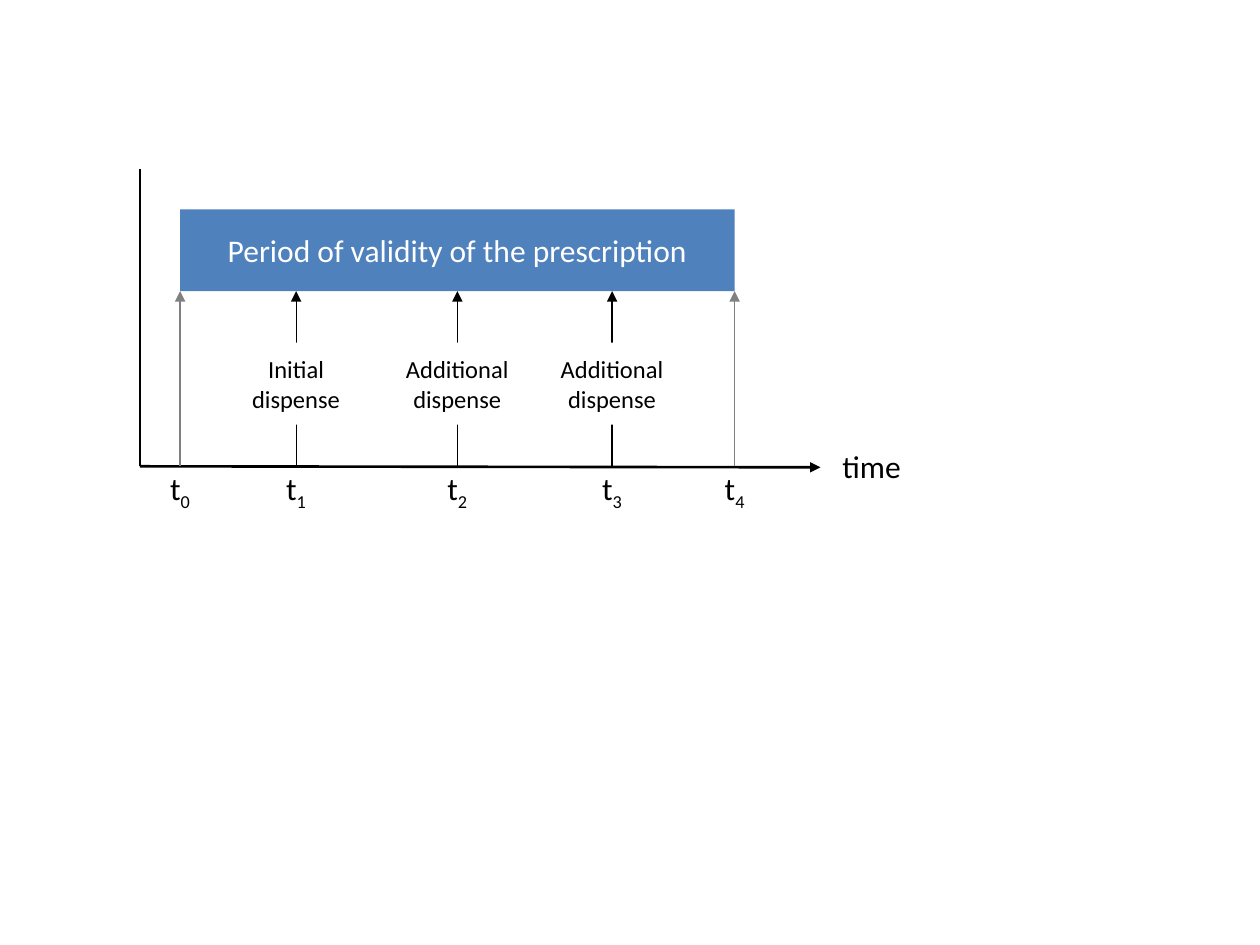
from lxml.etree import SubElement
from pptx import Presentation
from pptx.dml.color import RGBColor
from pptx.enum.shapes import MSO_CONNECTOR, MSO_SHAPE
from pptx.enum.text import MSO_ANCHOR, PP_ALIGN
from pptx.oxml.ns import qn
from pptx.util import Cm, Pt

BLACK = RGBColor(0x00, 0x00, 0x00)
GRAY = RGBColor(0x80, 0x80, 0x80)
BLUE = RGBColor(0x4F, 0x81, 0xBD)
WHITE = RGBColor(0xFF, 0xFF, 0xFF)

AXIS_LEFT, AXIS_TOP, AXIS_RIGHT, BASELINE = 2.82, 3.4, 16.54, 9.4
BAR_TOP, BAR_HEIGHT = 4.22, 1.65
BAR_BOTTOM = BAR_TOP + BAR_HEIGHT
DISPENSE_TOP, DISPENSE_HEIGHT = 6.91, 1.65
LABEL_WIDTH, LABEL_HEIGHT = 1.96, 0.99
TIMES = [3.63, 5.97, 9.22, 12.34, 14.81]
DISPENSES = ["Initial\ndispense", "Additional\ndispense", "Additional\ndispense"]


def write_text(shape, text, size, color, subscript=""):
    frame = shape.text_frame
    frame.word_wrap = False
    frame.vertical_anchor = MSO_ANCHOR.MIDDLE
    para = frame.paragraphs[0]
    para.text = text
    para.alignment = PP_ALIGN.CENTER
    if subscript:
        span = para.add_run()
        span.text = subscript
        span._r.get_or_add_rPr().set("baseline", "-25000")
    for span in para.runs:
        span.font.name = "Calibri"
        span.font.size = Pt(size)
        span.font.color.rgb = color


def add_line(page, start, end, color, width, arrow=False):
    points = [Cm(value) for value in (*start, *end)]
    line = page.shapes.add_connector(MSO_CONNECTOR.STRAIGHT, *points)
    line.line.color.rgb = color
    line.line.width = Pt(width)
    if arrow:
        SubElement(line.line._get_or_add_ln(), qn("a:tailEnd"), type="triangle")
    SubElement(line._element.spPr, qn("a:effectLst"))
    return line


def add_box(page, left, top, width, height, fill, text, size, color):
    box = page.shapes.add_shape(
        MSO_SHAPE.RECTANGLE, Cm(left), Cm(top), Cm(width), Cm(height)
    )
    box.shadow.inherit = False
    box.fill.solid()
    box.fill.fore_color.rgb = fill
    box.line.fill.background()
    write_text(box, text, size, color)
    return box


def add_label(page, left, top, text, subscript=""):
    label = page.shapes.add_textbox(
        Cm(left), Cm(top), Cm(LABEL_WIDTH), Cm(LABEL_HEIGHT)
    )
    write_text(label, text, 18, BLACK, subscript)


def add_axes(page):
    origin = (AXIS_LEFT, BASELINE)
    add_line(page, (AXIS_LEFT, AXIS_TOP), origin, BLACK, 1.5)
    add_line(page, origin, (AXIS_RIGHT, BASELINE + 0.02), BLACK, 1.5, arrow=True)
    add_label(page, 16.59, 8.89, "time")


def add_timeline(page):
    first, last = TIMES[0], TIMES[-1]
    middle = TIMES[2]
    bar = add_box(
        page, first, BAR_TOP, last - first, BAR_HEIGHT, BLUE,
        "Period of validity of the prescription", 18, WHITE,
    )
    for number, time in enumerate(TIMES):
        color = GRAY if time in (first, last) else BLACK
        arrow = add_line(
            page, (time, BASELINE), (time, BAR_BOTTOM), color, 0.75, arrow=True
        )
        if time == middle:
            arrow.end_connect(bar, 2)
        add_label(page, time - LABEL_WIDTH / 2, BASELINE, "t", str(number))


def add_dispenses(page):
    for time, text in zip(TIMES[1:-1], DISPENSES):
        add_box(
            page, time - LABEL_WIDTH / 2, DISPENSE_TOP, LABEL_WIDTH,
            DISPENSE_HEIGHT, WHITE, text, 14, BLACK,
        )


def main():
    deck = Presentation()
    deck.slide_width = Cm(25.4)
    deck.slide_height = Cm(19.05)
    page = deck.slides.add_slide(deck.slide_layouts[6])
    add_axes(page)
    add_timeline(page)
    add_dispenses(page)
    deck.save("out.pptx")


if __name__ == "__main__":
    main()
